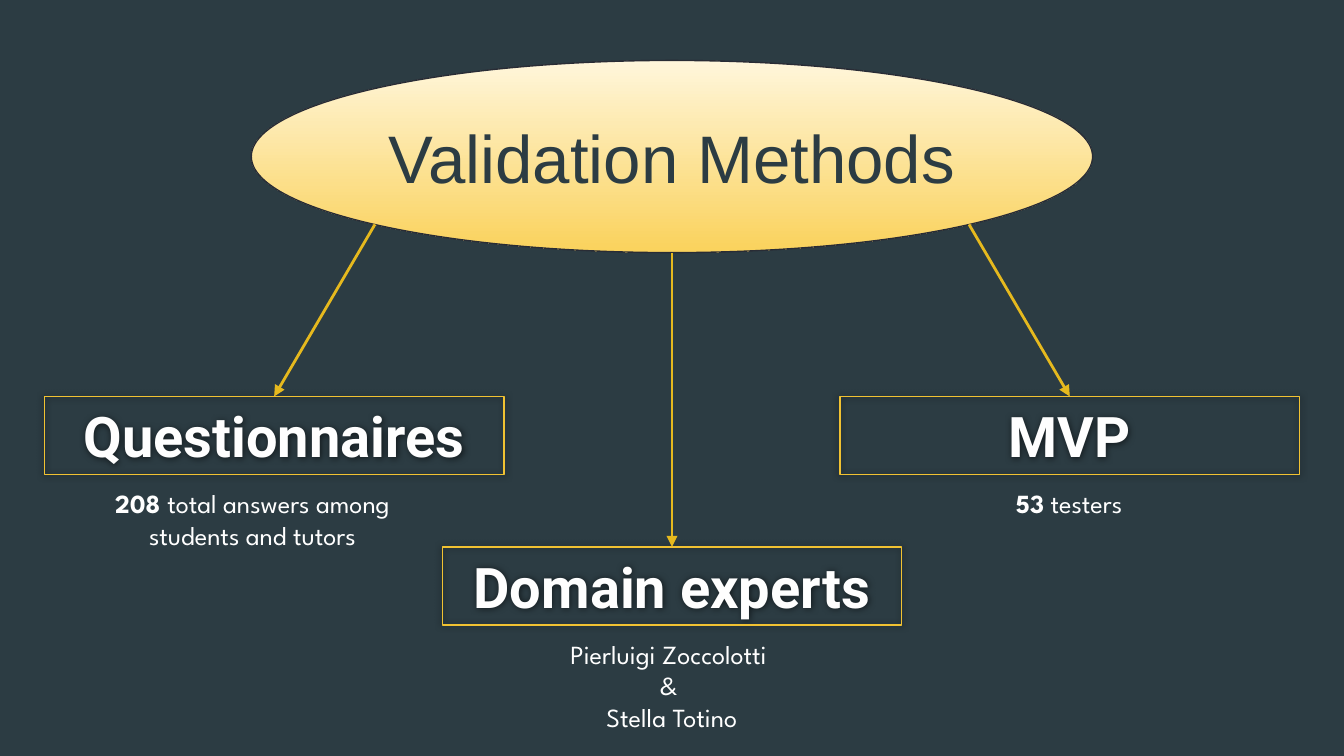
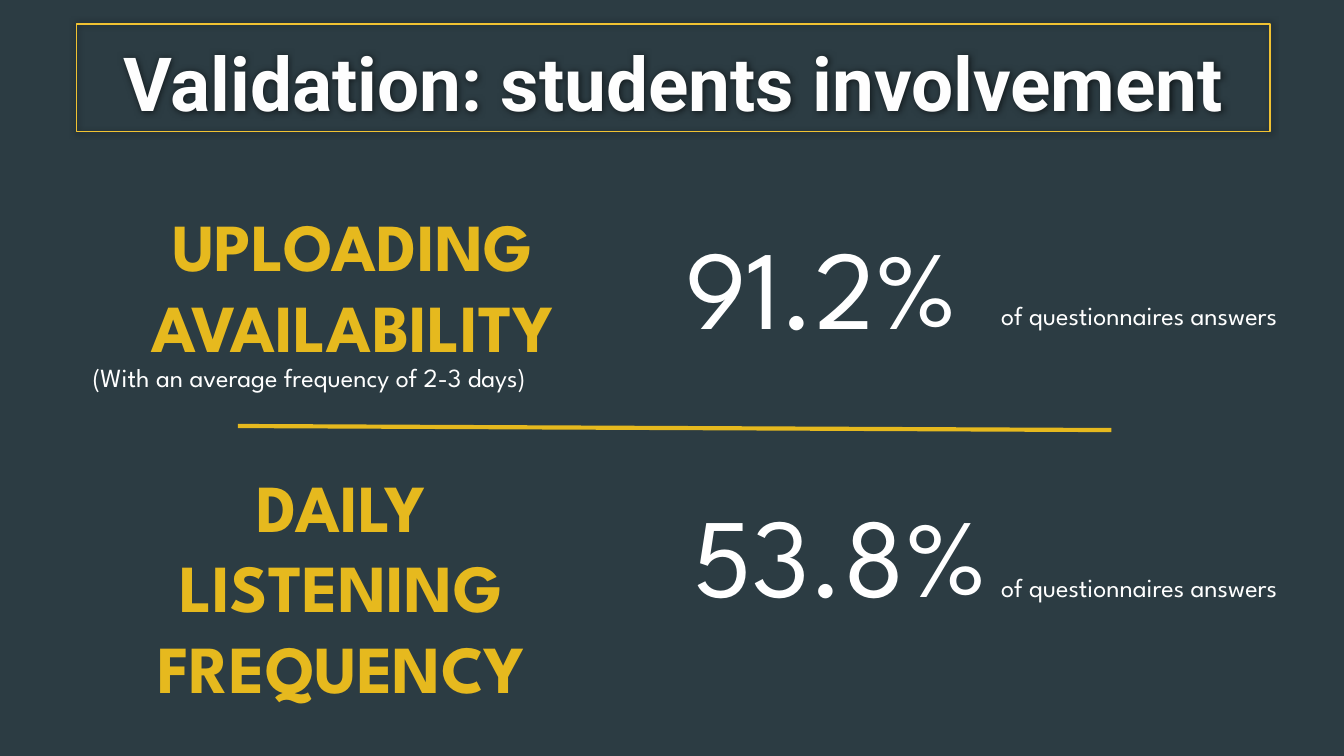
"""Build two slides on how the project was validated."""
from dataclasses import dataclass

from lxml.etree import SubElement
from pptx import Presentation
from pptx.dml.color import RGBColor
from pptx.enum.shapes import MSO_CONNECTOR, MSO_SHAPE
from pptx.enum.text import MSO_ANCHOR, MSO_AUTO_SIZE, PP_ALIGN
from pptx.oxml.ns import qn
from pptx.util import Inches, Pt


@dataclass(frozen=True)
class Theme:
    """Colours, fonts and type sizes of the deck."""
    background: str = "2C3C43"
    gold: str = "E6B91E"
    border: str = "F1C232"
    heading: str = "FEFEFE"
    white: str = "FFFFFF"
    outline: str = "292C35"
    glow_top: str = "FFF6DB"
    glow_bottom: str = "FAD25C"
    heading_font: str = "Roboto"
    body_font: str = "League Spartan"
    topic_font: str = "Arial"
    note_size: int = 14
    box_size: int = 30
    label_size: int = 36
    title_size: int = 40
    figure_size: int = 60


THEME = Theme()


def rgb(value):
    """Return a colour from its hex value."""
    return RGBColor.from_string(value)


def write(frame, *paragraphs, font, size, color, bold=False, align=PP_ALIGN.CENTER,
          anchor=MSO_ANCHOR.TOP, insets=(0.1, 0.1), fit=MSO_AUTO_SIZE.NONE):
    """Fill a text frame; a paragraph is a string or a list of (text, bold) runs."""
    frame.word_wrap = True
    frame.auto_size = fit
    frame.vertical_anchor = anchor
    frame.margin_left = frame.margin_right = Inches(insets[0])
    frame.margin_top = frame.margin_bottom = Inches(insets[1])
    for index, content in enumerate(paragraphs):
        paragraph = frame.add_paragraph() if index else frame.paragraphs[0]
        paragraph.alignment = align
        pieces = [(content, bold)] if isinstance(content, str) else content
        for words, strong in pieces:
            run = paragraph.add_run()
            run.text = words
            run.font.name = font
            run.font.size = Pt(size)
            run.font.bold = strong
            run.font.color.rgb = rgb(color)


class Deck:
    """Hold the style, the presentation and the current slide."""

    def __init__(self, theme):
        """Start an empty 16:9 deck."""
        self.theme = theme
        self.presentation = Presentation()
        self.presentation.slide_width = Inches(10)
        self.presentation.slide_height = Inches(10) * 9 // 16

    def new_slide(self):
        """Add a dark slide with a title placeholder."""
        layout = self.presentation.slide_layouts.get_by_name("Title Only")
        self.slide = self.presentation.slides.add_slide(layout)
        fill = self.slide.background.fill
        fill.solid()
        fill.fore_color.rgb = rgb(self.theme.background)

    def heading(self, words, left, top, width, height, size, is_title=False):
        """Place a framed heading with a soft shadow."""
        area = [Inches(length) for length in (left, top, width, height)]
        if is_title:
            box = self.slide.shapes.title
            box.left, box.top, box.width, box.height = area
        else:
            box = self.slide.shapes.add_textbox(*area)
        box.fill.background()
        box.line.color.rgb = rgb(self.theme.border)
        box.line.width = Pt(0.75)
        box.shadow.inherit = False
        effects = box.element.spPr.find(qn("a:effectLst"))
        shadow = SubElement(effects, qn("a:outerShdw"), blurRad=str(Pt(4)), dist="0",
                            dir="0", algn="ctr", rotWithShape="0")
        tint = SubElement(shadow, qn("a:srgbClr"), val="000000")
        SubElement(tint, qn("a:alpha"), val="60000")
        write(box.text_frame, words, font=self.theme.heading_font, size=size,
              color=self.theme.heading, bold=True, anchor=MSO_ANCHOR.BOTTOM,
              insets=(0.07, 0.04))
        return box

    def topic(self, words, left, top, width, height):
        """Place the gradient ellipse that names the topic."""
        ellipse = self.slide.shapes.add_shape(
            MSO_SHAPE.OVAL, Inches(left), Inches(top), Inches(width), Inches(height))
        ellipse.shadow.inherit = False
        ellipse.fill.gradient()
        ellipse.fill.gradient_angle = 270
        shades = (self.theme.glow_top, self.theme.glow_bottom)
        for position, (stop, shade) in enumerate(zip(ellipse.fill.gradient_stops, shades)):
            stop.position = position
            stop.color.rgb = rgb(shade)
        ellipse.line.color.rgb = rgb(self.theme.outline)
        ellipse.line.width = Pt(0.75)
        write(ellipse.text_frame, words, font=self.theme.topic_font,
              size=self.theme.label_size, color=self.theme.background,
              anchor=MSO_ANCHOR.MIDDLE)

    def text(self, *paragraphs, at, size=THEME.note_size, color=THEME.white, **style):
        """Place free text in the body font."""
        box = self.slide.shapes.add_textbox(*(Inches(length) for length in at))
        write(box.text_frame, *paragraphs, font=self.theme.body_font, size=size,
              color=color, fit=MSO_AUTO_SIZE.SHAPE_TO_FIT_TEXT, **style)

    def line(self, start, end, width):
        """Draw a straight gold line."""
        connector = self.slide.shapes.add_connector(
            MSO_CONNECTOR.STRAIGHT, *(Inches(length) for length in (*start, *end)))
        connector.line.color.rgb = rgb(self.theme.gold)
        connector.line.width = Pt(width)
        SubElement(connector.element.spPr, qn("a:effectLst"))
        return connector

    def arrow(self, start, target):
        """Draw an arrow to the top of a heading."""
        connector = self.line(start, start, 1.5)
        connector.end_connect(target, 0)
        outline = connector.element.spPr.find(qn("a:ln"))
        SubElement(outline, qn("a:tailEnd"), type="triangle")


def add_methods(deck):
    """Add the overview of validation methods."""
    deck.new_slide()
    deck.topic("Validation Methods", 1.87, 0.45, 6.26, 1.43)
    methods = (
        ("Questionnaires", 0.33, 2.95, (2.79, 1.67)),
        ("Domain experts", 3.29, 4.07, (5, 1.88)),
        ("MVP", 6.25, 2.95, (7.21, 1.67)),
    )
    for index, (name, left, top, start) in enumerate(methods):
        method = deck.heading(name, left, top, 3.42, 0.58, deck.theme.box_size,
                              is_title=index == 0)
        deck.arrow(start, method)
    deck.text("Pierluigi Zoccolotti ", "& ", "Stella Totino", at=(3.75, 4.65, 2.5, 0.91))
    deck.text([("208 ", True), ("total answers among students and tutors", False)],
              at=(0.7, 3.53, 2.36, 0.91))
    deck.text([("53", True), (" testers", False)], at=(7.01, 3.53, 1.89, 0.44))


def add_involvement(deck):
    """Add the results on student involvement."""
    deck.new_slide()
    theme = deck.theme
    deck.heading("Validation: students involvement", 0.57, 0.18, 8.88, 0.8,
                 theme.title_size, is_title=True)
    results = (
        ("UPLOADING AVAILABILITY", (0.86, 1.42, 3.53, 1.41),
         "91.2%", (5, 1.52, 2.47, 1.21), 2.13),
        ("DAILY LISTENING FREQUENCY", (0.86, 3.36, 3.36, 2.27),
         "53.8%", (5.06, 3.51, 2.79, 1.21), 4.15),
    )
    for label, label_area, share, share_area, note_top in results:
        deck.text(label, at=label_area, size=theme.label_size, color=theme.gold, bold=True)
        deck.text(share, at=share_area, size=theme.figure_size, align=PP_ALIGN.LEFT)
        deck.text("of questionnaires answers", at=(7.35, note_top, 2.79, 0.44),
                  align=PP_ALIGN.LEFT)
    deck.text("(With an average frequency of 2-3 days)", at=(0.59, 2.59, 4.08, 0.44),
              align=PP_ALIGN.LEFT)
    deck.line((1.77, 3.17), (8.27, 3.2), 2.25)


def main():
    """Build and save the deck."""
    deck = Deck(THEME)
    add_methods(deck)
    add_involvement(deck)
    deck.presentation.save("out.pptx")


if __name__ == "__main__":
    main()
